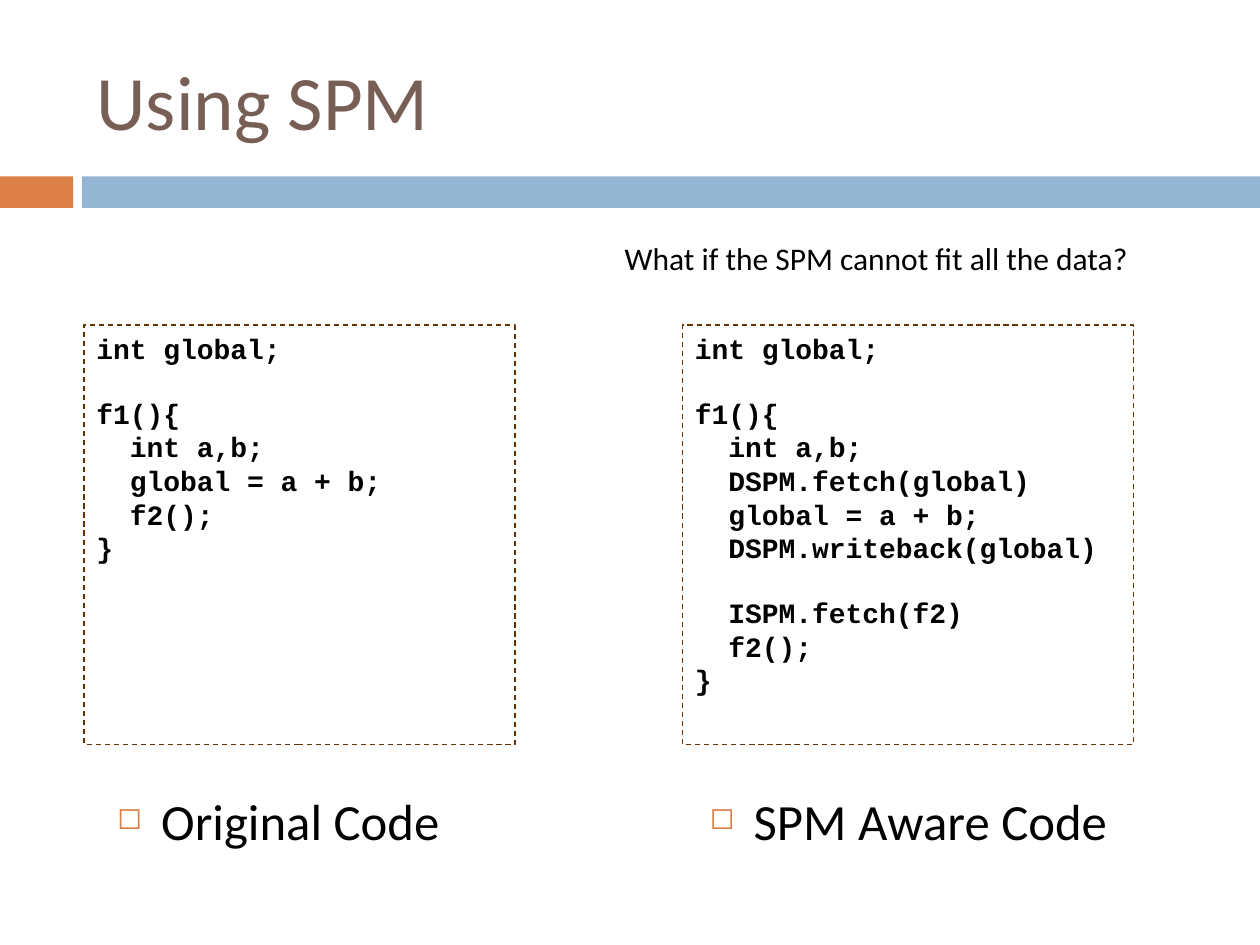
"""Build a slide that sets plain code beside its SPM aware form."""
from lxml import etree
from pptx import Presentation
from pptx.dml.color import RGBColor
from pptx.enum.dml import MSO_LINE
from pptx.enum.shapes import MSO_SHAPE
from pptx.enum.text import MSO_ANCHOR, PP_ALIGN
from pptx.oxml.ns import qn
from pptx.util import Inches, Pt

RECT, DASH = MSO_SHAPE.RECTANGLE, MSO_LINE.DASH
LEFT, MID = PP_ALIGN.LEFT, PP_ALIGN.CENTER
TOP, CENTER = MSO_ANCHOR.TOP, MSO_ANCHOR.MIDDLE
BLACK = RGBColor(0x00, 0x00, 0x00)
BROWN = RGBColor(0x77, 0x5F, 0x55)
RUST = RGBColor(0x66, 0x33, 0x00)
ORANGE = RGBColor(0xDD, 0x80, 0x47)
BLUE = RGBColor(0x94, 0xB6, 0xD2)

TITLE = "Using SPM"
ASK = "What if the SPM cannot fit all the data?"
CODES = [
    {
        "label": "Original Code",
        "wide": 3.42,
        "parts": [
            ["int global;"],
            ["f1(){", "  int a,b;", "  global = a + b;", "  f2();", "}"],
        ],
    },
    {
        "label": "SPM Aware Code",
        "wide": 3.58,
        "parts": [
            ["int global;"],
            ["f1(){", "  int a,b;", "  DSPM.fetch(global)", "  global = a + b;",
             "  DSPM.writeback(global)"],
            ["  ISPM.fetch(f2)", "  f2();", "}"],
        ],
    },
]

WIDE, HIGH = 10, 7.5
EDGE = WIDE / 15
STEP = 4.75
HALF = WIDE / 2
BAND, THICK = 1.4, 0.25
SPLIT, GAP = 0.58, 0.07
GAPS = Pt(18)

HEAD = {"name": "Calibri", "size": Pt(44), "bold": False}
NOTE = {"name": "Calibri", "size": Pt(18)}
NAME = {"name": "Calibri", "size": Pt(29)}
CODE = {"name": "Courier New", "size": Pt(16), "bold": True}


def place(*spot):
    return [Inches(part) for part in spot]


def write(para, text, style, color=BLACK, align=LEFT):
    run = para.add_run()
    run.text = text
    for key, value in style.items():
        setattr(run.font, key, value)
    run.font.color.rgb = color
    para.alignment = align


def add_box(slide, spot):
    box = slide.shapes.add_shape(RECT, *place(*spot))
    box.shadow.inherit = False
    return box


def add_bar(slide, left, wide, color):
    bar = add_box(slide, (left, BAND, wide, THICK))
    bar.fill.solid()
    bar.fill.fore_color.rgb = color
    bar.line.fill.background()


def add_mark(para):
    props = para._p.get_or_add_pPr()
    props.set("marL", str(Inches(0.35)))
    props.set("indent", str(-Inches(0.35)))
    tint = etree.SubElement(props, qn("a:buClr"))
    etree.SubElement(tint, qn("a:srgbClr"), val=str(ORANGE))
    etree.SubElement(props, qn("a:buSzPct"), val="60000")
    etree.SubElement(props, qn("a:buChar"), char="◻")


def add_text(slide, spot, text, style, wrap=True, mark=False):
    frame = slide.shapes.add_textbox(*place(*spot)).text_frame
    frame.word_wrap = wrap
    para = frame.paragraphs[0]
    if mark:
        add_mark(para)
    write(para, text, style, align=MID if mark else LEFT)


def add_code(slide, spot, parts):
    box = add_box(slide, spot)
    box.fill.background()
    box.line.color.rgb = RUST
    box.line.width = Pt(0.75)
    box.line.dash_style = DASH
    frame = box.text_frame
    frame.word_wrap = True
    frame.vertical_anchor = TOP
    para = frame.paragraphs[0]
    for part, lines in enumerate(parts):
        for row, line in enumerate(lines):
            if part or row:
                para = frame.add_paragraph()
            if part and not row:
                para.space_before = GAPS
            write(para, line, CODE)


def main():
    deck = Presentation()
    deck.slide_width, deck.slide_height = place(WIDE, HIGH)
    slide = deck.slides.add_slide(deck.slide_layouts[5])

    add_bar(slide, 0, SPLIT, ORANGE)
    add_bar(slide, SPLIT + GAP, WIDE - SPLIT - GAP, BLUE)

    title = slide.shapes.title
    title.left, title.top, title.width, title.height = place(EDGE, 0.25, 8.92, 1.08)
    title.text_frame.vertical_anchor = CENTER
    write(title.text_frame.paragraphs[0], TITLE, HEAD, BROWN)

    for col, code in enumerate(CODES):
        add_text(slide, (col * HALF, 6.22, 4.42, 0.7), code["label"], NAME, mark=True)
        add_code(slide, (EDGE + col * STEP, 2.58, code["wide"], 3.33), code["parts"])
    add_text(slide, (4.86, 1.85, 4.73, 0.4), ASK, NOTE, wrap=False)

    deck.save("out.pptx")


if __name__ == "__main__":
    main()
